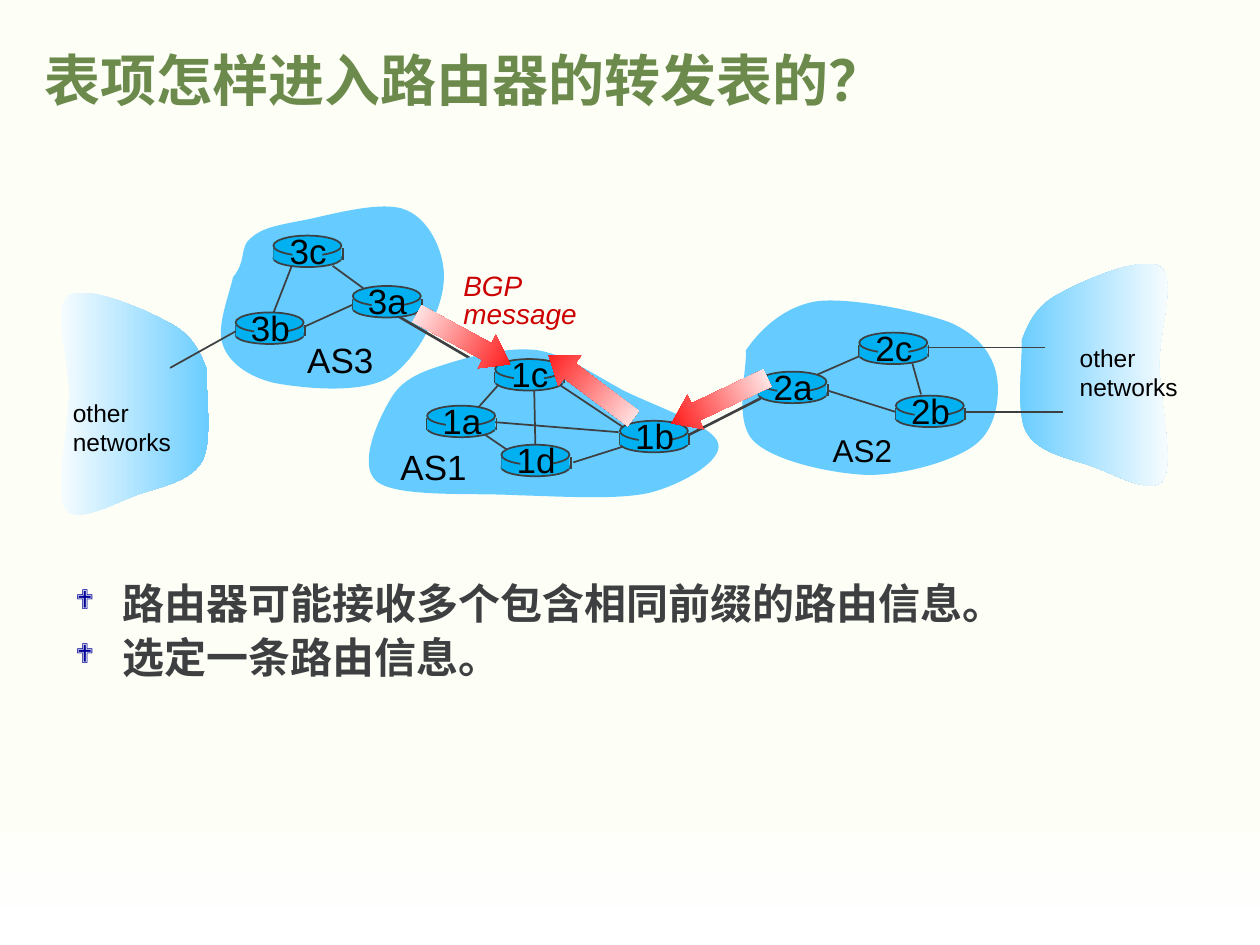
from lxml import etree
from pptx import Presentation
from pptx import util as u
from pptx.dml.color import RGBColor
from pptx.enum import shapes, text
from pptx.oxml.ns import qn

GRID = 2.54  # cm in one layout unit
INK, SKY, ROUTER, RED, WHITE, BLACK = "3D3F41", "66CCFF", "00B0F0", "FF0000", "FFFFFF", "000000"
OVAL, BOX = shapes.MSO_SHAPE.OVAL, shapes.MSO_SHAPE.RECTANGLE


def colour(value):
    return RGBColor.from_string(value)


def grid(*values):
    return [u.Cm(v * GRID) for v in values]


class Diagram:
    def __init__(self, slide):
        self.slide = slide
        self.font = "Arial"

    def style_font(self, font, size, hex_colour, bold=False, italic=False):
        font.name, font.size = self.font, u.Pt(size)
        font.color.rgb = colour(hex_colour)
        font.bold, font.italic = bold, italic

    def gradient(self, fill, colours, positions=(0, 1), angle=0):
        fill.gradient()
        fill.gradient_angle = angle
        for stop, value, position in zip(fill.gradient_stops, colours, positions):
            stop.color.rgb, stop.position = colour(value), position

    def paint(self, shape, fill, line=None):
        shape.shadow.inherit = False
        if isinstance(fill, tuple):
            self.gradient(shape.fill, fill)
        else:
            shape.fill.solid()
            shape.fill.fore_color.rgb = colour(fill)
        if line:
            shape.line.color.rgb, shape.line.width = colour(line), u.Pt(1)
        else:
            shape.line.fill.background()

    def backdrop(self):
        panel = self.slide.shapes.add_shape(BOX, *grid(0, 0, 10, 7.5))
        self.paint(panel, WHITE)
        self.gradient(panel.fill, ("FDFFF7", WHITE), (0.84, 1), 270)
        panel.element.getparent().insert(2, panel.element)  # behind the title

    def title(self, words):
        title = self.slide.shapes.title
        title.left, title.top, title.width, title.height = grid(0.25, 0, 9.25, 1.25)
        frame = title.text_frame
        frame.text = words
        frame.auto_size = text.MSO_AUTO_SIZE.NONE
        frame.vertical_anchor = text.MSO_ANCHOR.MIDDLE
        frame.paragraphs[0].alignment = text.PP_ALIGN.LEFT
        self.style_font(frame.paragraphs[0].font, 32, "6B8A4B", bold=True)

    def cloud(self, points, fill):
        start, *rest = [grid(*point) for point in points]
        builder = self.slide.shapes.build_freeform(*start)
        builder.add_line_segments(rest, close=True)
        cloud = builder.convert_to_shape()
        # Every three points become one Bezier curve
        corners = list(cloud.element.iter(qn("a:lnTo")))
        for i in range(0, len(points) - 1, 3):
            bend = etree.Element(qn("a:cubicBezTo"))
            corners[i].addprevious(bend)
            for corner in corners[i:i + 3]:
                bend.append(corner[0])
                corner.getparent().remove(corner)
        self.paint(cloud, fill)

    def link(self, x1, y1, x2, y2, width=1, parent=None):
        line = (parent or self.slide).shapes.add_connector(
            shapes.MSO_CONNECTOR.STRAIGHT, *grid(x1, y1, x2, y2))
        line.line.color.rgb, line.line.width = colour(INK), u.Pt(width)
        etree.SubElement(line.element.spPr, qn("a:effectLst"))

    def label(self, words, x, y, w, h, size, ink=BLACK, italic=False, spacing=None,
              align=text.PP_ALIGN.LEFT, parent=None):
        frame = (parent or self.slide).shapes.add_textbox(*grid(x, y, w, h)).text_frame
        frame.word_wrap = False
        frame.auto_size = text.MSO_AUTO_SIZE.SHAPE_TO_FIT_TEXT
        frame.text = words
        for paragraph in frame.paragraphs:
            paragraph.alignment, paragraph.line_spacing = align, spacing
            self.style_font(paragraph.font, size, ink, italic=italic)

    def router(self, name, x, y):
        group = self.slide.shapes.add_group_shape()

        def part(kind, dx, dy, w, h, line=None):
            self.paint(group.shapes.add_shape(kind, *grid(x + dx, y + dy, w, h)), ROUTER, line)

        part(OVAL, 0, 0.11, 0.54, 0.14, INK)
        for side in (0, 0.55):
            self.link(x + side, y + 0.1, x + side, y + 0.19, parent=group)
        part(BOX, 0, 0.1, 0.54, 0.09)
        part(OVAL, 0, 0, 0.54, 0.16, INK)
        part(BOX, 0.15, 0.02, 0.24, 0.21)
        self.label(name, x + 0.02, y - 0.1, 0.51, 0.43, 20,
                   align=text.PP_ALIGN.CENTER, parent=group)

    def message_arrow(self, x, y, rotation):
        arrow = self.slide.shapes.add_shape(shapes.MSO_SHAPE.LEFT_ARROW, *grid(x, y, 0.84, 0.3))
        arrow.adjustments[0], arrow.adjustments[1] = 0.5, 0.7
        arrow.rotation = rotation
        self.paint(arrow, (RED, WHITE))

    def bullets(self, lines):
        frame = self.slide.shapes.add_textbox(*grid(0.5, 4.58, 8.75, 2.59)).text_frame
        frame.word_wrap = True
        for i, words in enumerate(lines):
            paragraph = frame.add_paragraph() if i else frame.paragraphs[0]
            paragraph.text = words
            paragraph.line_spacing = 0.9
            if i:
                paragraph.space_before = u.Pt(4.8)
            props = paragraph._p.get_or_add_pPr()
            indent = u.Cm(0.95)
            props.set("marL", str(indent))
            props.set("indent", str(-indent))
            bullet_colour = etree.SubElement(props, qn("a:buClr"))
            etree.SubElement(bullet_colour, qn("a:srgbClr"), val="000099")
            etree.SubElement(props, qn("a:buSzPct"), val="65000")
            etree.SubElement(props, qn("a:buFont"), typeface="Wingdings")
            etree.SubElement(props, qn("a:buChar"), char="❖")
            self.style_font(paragraph.font, 24, INK, bold=True)
        frame.paragraphs[0].font.name = "Lato"


# Cloud outlines: a start point, then three points for each curve
EAST = [(8.11, 2.7), (8.17, 2.54), (8.24, 2.41), (8.43, 2.32), (8.61, 2.22), (9.08, 2.02),
        (9.21, 2.12), (9.34, 2.21), (9.2, 2.62), (9.2, 2.9), (9.21, 3.19), (9.32, 3.68),
        (9.23, 3.81), (9.14, 3.94), (8.82, 3.75), (8.64, 3.69), (8.46, 3.63), (8.23, 3.59),
        (8.14, 3.42), (8.06, 3.26), (8.12, 2.85), (8.11, 2.7)]
WEST = [(9.75 - x, y + 0.23) for x, y in EAST]
AS1 = [(3.11, 3.15), (3.21, 2.99), (3.38, 2.94), (3.57, 2.88), (3.77, 2.82), (4.04, 2.75),
       (4.27, 2.78), (4.5, 2.82), (4.71, 2.97), (4.95, 3.1), (5.19, 3.22), (5.67, 3.38),
       (5.7, 3.52), (5.74, 3.65), (5.43, 3.84), (5.16, 3.91), (4.9, 3.97), (4.46, 3.94),
       (4.09, 3.93), (3.73, 3.91), (3.15, 3.95), (2.99, 3.82), (2.83, 3.69), (3.01, 3.31),
       (3.11, 3.15)]
AS2 = [(5.92, 2.78), (6.03, 2.62), (6.22, 2.43), (6.49, 2.39), (6.76, 2.36), (7.3, 2.47),
       (7.54, 2.56), (7.77, 2.66), (7.88, 2.82), (7.91, 2.98), (7.94, 3.14), (7.91, 3.4),
       (7.74, 3.53), (7.57, 3.66), (7.18, 3.77), (6.89, 3.77), (6.6, 3.76), (6.14, 3.66),
       (5.98, 3.5), (5.82, 3.34), (5.93, 2.93), (5.92, 2.78)]
AS3 = [(1.85, 2.2), (1.96, 2.07), (1.9, 1.96), (1.99, 1.89), (2.08, 1.81), (2.19, 1.79),
       (2.4, 1.75), (2.61, 1.71), (3.04, 1.58), (3.23, 1.67), (3.42, 1.75), (3.55, 2.04),
       (3.52, 2.26), (3.5, 2.48), (3.3, 2.87), (3.08, 3), (2.85, 3.13), (2.4, 3.08),
       (2.18, 3.04), (1.97, 2.99), (1.82, 2.88), (1.77, 2.74), (1.71, 2.6), (1.83, 2.31),
       (1.85, 2.2)]

# Each system: outline, label with its box, links, routers
SYSTEMS = [
    (AS3, ("AS3", 2.34, 2.64, 0.73, 0.43, 20),
     [(2.4, 2.6, 2.84, 2.4), (3.16, 2.51, 3.93, 2.96, 1.5), (2.9, 2.3, 2.64, 2.11),
      (2.32, 2.1, 2.16, 2.51)],
     [("3b", 1.87, 2.48), ("3c", 2.17, 1.87), ("3a", 2.8, 2.27)]),
    (AS1, ("AS1", 3.08, 3.49, 0.73, 0.43, 20),
     [(3.96, 3.05, 3.8, 3.23), (4.24, 3.09, 4.25, 3.59), (4.42, 3.04, 4.96, 3.4),
      (4.96, 3.54, 4.55, 3.67), (4.91, 3.43, 3.92, 3.35), (3.82, 3.43, 4.04, 3.58)],
     [("1c", 3.93, 2.85), ("1a", 3.39, 3.22), ("1d", 3.98, 3.53), ("1b", 4.92, 3.34)]),
    (AS2, ("AS2", 6.51, 3.37, 0.67, 0.4, 18),
     [(6.38, 3.02, 6.86, 2.81), (7.35, 2.76, 8.29, 2.76, 0.75), (7.63, 3.27, 8.44, 3.27, 0.75),
      (6.57, 3.1, 7.11, 3.27), (7.24, 2.88, 7.31, 3.13)],
     [("2a", 6.02, 2.95), ("2c", 6.82, 2.64), ("2b", 7.11, 3.14)]),
]


def main():
    deck = Presentation()
    deck.slide_width, deck.slide_height = grid(10, 7.5)
    slide = deck.slides.add_slide(deck.slide_layouts[5])
    diagram = Diagram(slide)
    diagram.backdrop()
    diagram.title("表项怎样进入路由器的转发表的？")

    # Outside networks
    diagram.cloud(EAST, (SKY, WHITE))
    diagram.cloud(WEST, (WHITE, SKY))

    # Autonomous systems
    for outline, name, links, routers in SYSTEMS:
        diagram.cloud(outline, SKY)
        diagram.label(*name)
        for ends in links:
            diagram.link(*ends)
        for router in routers:
            diagram.router(*router)

    # Links and labels of the outside networks
    diagram.link(1.87, 2.63, 1.35, 2.92)
    diagram.link(5.47, 3.45, 6.04, 3.16, 1.5)
    for x, y in ((8.47, 2.67), (0.48, 3.11)):
        diagram.label("other\nnetworks", x, y, 0.98, 0.57, 14)

    # BGP messages
    for arrow in ((3.26, 2.54, 208.5), (5.29, 3.03, 334.7), (4.27, 2.92, 36.9)):
        diagram.message_arrow(*arrow)
    diagram.label("BGP\nmessage", 3.58, 2.12, 1.1, 0.56, 16, "CC0000", italic=True, spacing=0.85)

    # Conclusions
    diagram.bullets(["路由器可能接收多个包含相同前缀的路由信息。", "选定一条路由信息。"])
    deck.save("out.pptx")


if __name__ == "__main__":
    main()
